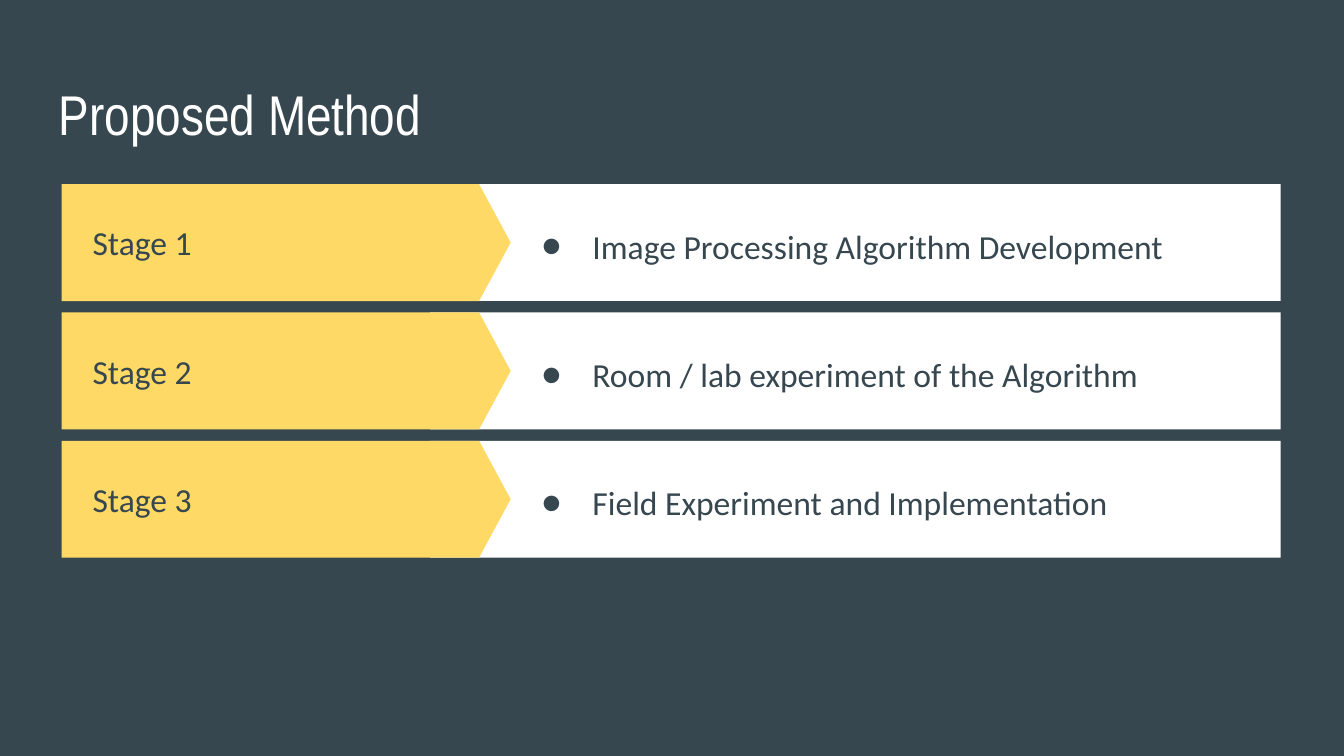
"""Build the Proposed Method slide with three stage banners."""
from dataclasses import dataclass

from lxml.etree import SubElement
from pptx import Presentation
from pptx.dml.color import RGBColor
from pptx.enum.shapes import MSO_SHAPE as Preset
from pptx.enum.text import MSO_ANCHOR as Anchor
from pptx.oxml.ns import qn
from pptx.util import Inches, Pt


@dataclass(frozen=True)
class Theme:
    dark: str = "37474F"
    light: str = "FFFFFF"
    accent: str = "FFD966"
    title_font: str = "Arial Narrow"
    body_font: str = "Calibri"
    title_size: int = 30
    body_size: int = 18


class SlideBuilder:
    def __init__(self, slide, theme):
        self.slide = slide
        self.theme = theme
        fill = slide.background.fill
        fill.solid()
        fill.fore_color.rgb = RGBColor.from_string(theme.dark)

    def text(self, box, words, bullet=False, title=False):
        theme = self.theme
        shape = self.slide.shapes.add_textbox(*map(Inches, box))
        frame = shape.text_frame
        frame.word_wrap = True
        frame.margin_left = frame.margin_right = Inches(0.1)
        frame.margin_top = frame.margin_bottom = Inches(0.1)
        frame.vertical_anchor = Anchor.TOP if title else Anchor.MIDDLE
        paragraph = frame.paragraphs[0]
        paragraph.text = words
        if bullet:
            self.bullet(paragraph)
        font = paragraph.font
        font.name = theme.title_font if title else theme.body_font
        font.size = Pt(theme.title_size if title else theme.body_size)
        font.color.rgb = RGBColor.from_string(theme.light if title else theme.dark)

    def bullet(self, paragraph):
        paragraph.line_spacing = 1.15
        properties = paragraph._p.get_or_add_pPr()
        properties.set("marL", str(Inches(0.5)))
        properties.set("indent", str(Inches(-0.38)))
        color = SubElement(properties, qn("a:buClr"))
        SubElement(color, qn("a:srgbClr"), val=self.theme.dark)
        SubElement(properties, qn("a:buFont"), typeface=self.theme.body_font)
        SubElement(properties, qn("a:buChar"), char="●")

    def block(self, group, preset, box, color):
        shape = group.shapes.add_shape(preset, *map(Inches, box))
        shape.shadow.inherit = False
        shape.fill.solid()
        shape.fill.fore_color.rgb = RGBColor.from_string(color)
        shape.line.fill.background()
        return shape

    def stage(self, top, height, label, description):
        group = self.slide.shapes.add_group_shape()
        self.block(group, Preset.RECTANGLE, (3.2, top, 6.33, height), self.theme.light)
        arrow = self.block(group, Preset.PENTAGON, (0.46, top, 3.34, height), self.theme.accent)
        arrow.adjustments[0] = 0.27
        self.text((0.59, top, 2.65, height), label)
        self.text((3.81, top, 5.59, height), description, bullet=True)


STAGES = (
    "Image Processing Algorithm Development",
    "Room / lab experiment of the Algorithm",
    "Field Experiment and Implementation",
)
FIRST_TOP, LAST_TOP, STAGE_HEIGHT = 1.37, 3.28, 0.87


def main():
    presentation = Presentation()
    presentation.slide_width = Inches(10)
    presentation.slide_height = Inches(10 * 9 / 16)
    slide = presentation.slides.add_slide(presentation.slide_layouts[6])
    builder = SlideBuilder(slide, Theme())
    builder.text((0.34, 0.49, 9.32, 0.63), "Proposed Method", title=True)
    pitch = (LAST_TOP - FIRST_TOP) / (len(STAGES) - 1)
    for index, description in enumerate(STAGES):
        top = FIRST_TOP + index * pitch
        builder.stage(top, STAGE_HEIGHT, f"Stage {index + 1}", description)
    presentation.save("out.pptx")


if __name__ == "__main__":
    main()
